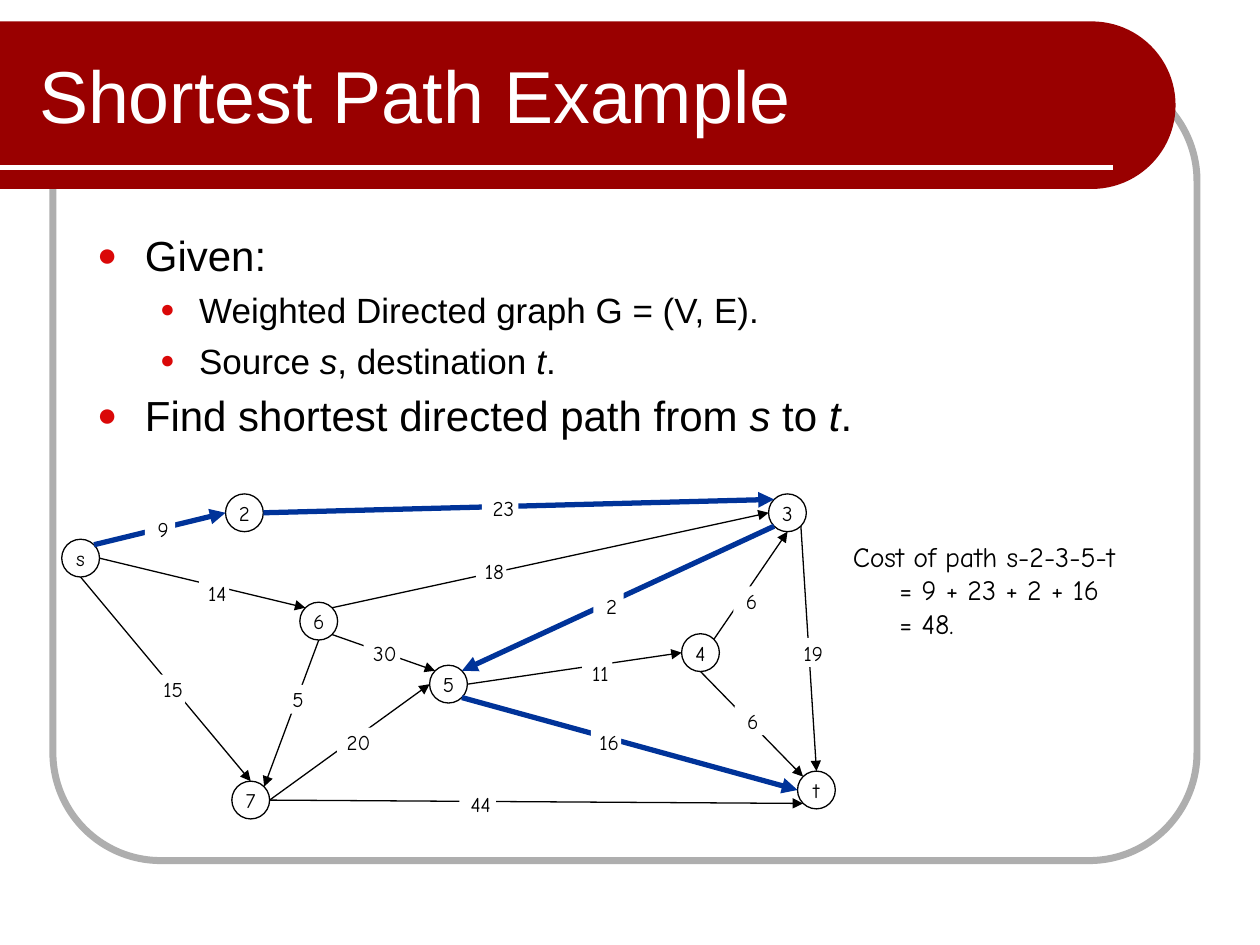
from lxml import etree
from pptx import Presentation
from pptx.dml.color import RGBColor
from pptx.enum.shapes import MSO_CONNECTOR, MSO_SHAPE
from pptx.enum.text import MSO_ANCHOR, MSO_AUTO_SIZE, PP_ALIGN
from pptx.oxml.ns import qn
from pptx.util import Inches, Pt

STRAIGHT = MSO_CONNECTOR.STRAIGHT
OVAL, RECT = MSO_SHAPE.OVAL, MSO_SHAPE.RECTANGLE
ROUNDED, ROUND_END = MSO_SHAPE.ROUNDED_RECTANGLE, MSO_SHAPE.ROUND_2_SAME_RECTANGLE
LEFT, CENTER = PP_ALIGN.LEFT, PP_ALIGN.CENTER
TOP, MIDDLE = MSO_ANCHOR.TOP, MSO_ANCHOR.MIDDLE

COLORS = {"white": "FFFFFF", "black": "000000", "banner": "990000",
          "frame": "AEAEAE", "bullet": "DA0808", "path": "003399"}
BODY_FONT, GRAPH_FONT = "Arial", "Comic Neue"

TITLE = "Shortest Path Example"
BULLETS = [
    (0, "Given:"),
    (1, "Weighted Directed graph G = (V, E)."),
    (1, "Source *s*, destination *t*."),
    (0, "Find shortest directed path from *s* to *t*."),
]
LEVELS = [
    {"size": 24, "indent": 0.38, "hang": 0.38, "bullet_size": 80},
    {"size": 20, "indent": 0.81, "hang": 0.31, "bullet_size": 70},
]
COST = [(0, "Cost of path s-2-3-5-t"), (1, "= 9 + 23 + 2 + 16"), (1, "= 48.")]
COST_LEVELS = [{"size": 16}, {"size": 16, "indent": 0.37}]

NODE_SIZE = 0.3
NODES = {"s": (0.49, 4.28), "3": (6.1, 3.92), "t": (6.33, 6.12), "2": (1.79, 3.92),
         "6": (2.38, 4.78), "7": (1.84, 6.2), "4": (5.41, 5.03), "5": (3.41, 5.28)}
SHORTEST = ["s2", "23", "35", "5t"]
EDGES = [
    ("s", "NE", "2", "W", "9", (1.27, 4.2)),
    ("s", "E", "6", "NW", "14", (1.7, 4.71)),
    ("s", "S", "7", "N", "15", (1.35, 5.47)),
    ("6", "NE", "3", "W", "18", (3.9, 4.53)),
    ("4", "NE", "3", "S", "6", (5.94, 4.77)),
    ("6", "SE", "5", "NW", "30", (3.03, 5.18)),
    ("5", "SE", "t", "W", "16", (4.81, 5.89)),
    ("5", "E", "4", "W", "11", (4.74, 5.34)),
    ("4", "S", "t", "NW", "6", (5.95, 5.72)),
    ("3", "SW", "5", "NE", "2", (4.83, 4.81)),
    ("6", "S", "7", "NE", "5", (2.34, 5.55)),
    ("7", "E", "5", "W", "20", (2.82, 5.89)),
    ("2", "E", "3", "NW", "23", (3.97, 4.03)),
    ("7", "E", "t", "SW", "44", (3.79, 6.38)),
    ("3", "SE", "t", "N", "19", (6.43, 5.18)),
]
WIDE_LABELS = ["23", "30", "20", "44"]
LABEL_HEIGHT = 0.23


def color(name):
    return RGBColor.from_string(COLORS[name])


def add_bullet(paragraph, size):
    props = paragraph._p.get_or_add_pPr()
    tint = etree.SubElement(props, qn("a:buClr"))
    etree.SubElement(tint, qn("a:srgbClr"), val=COLORS["bullet"])
    etree.SubElement(props, qn("a:buSzPct"), val=str(size * 1000))
    etree.SubElement(props, qn("a:buFont"), typeface=BODY_FONT)
    etree.SubElement(props, qn("a:buChar"), char="●")


def write(holder, lines, levels, font=GRAPH_FONT, fill="black", align=LEFT,
          anchor=MIDDLE, wrap=True, insets=(0.1, 0.05, 0.1, 0.05), before=0):
    frame = holder.text_frame
    frame.auto_size = MSO_AUTO_SIZE.NONE
    frame.word_wrap, frame.vertical_anchor = wrap, anchor
    (frame.margin_left, frame.margin_top,
     frame.margin_right, frame.margin_bottom) = map(Inches, insets)
    for row, (level, text) in enumerate(lines):
        style = levels[level]
        paragraph = frame.add_paragraph() if row else frame.paragraphs[0]
        paragraph.alignment = align
        paragraph.space_before = Pt(before if row else 0)
        if "indent" in style:
            props = paragraph._p.get_or_add_pPr()
            props.set("marL", str(Inches(style["indent"])))
            props.set("indent", str(-Inches(style.get("hang", 0))))
        if "bullet_size" in style:
            paragraph.level = level
            add_bullet(paragraph, style["bullet_size"])
        for part, words in enumerate(text.split("*")):
            run = paragraph.add_run()
            run.text = words
            run.font.name, run.font.size = font, Pt(style["size"])
            run.font.italic = part % 2 == 1
            run.font.color.rgb = color(fill)


def add_outline(shapes, kind, left, top, width, height, fill=None, line=None, weight=0.75):
    shape = shapes.add_shape(kind, *map(Inches, (left, top, width, height)))
    shape.shadow.inherit = False
    if fill:
        shape.fill.solid()
        shape.fill.fore_color.rgb = color(fill)
    else:
        shape.fill.background()
    if line:
        shape.line.color.rgb = color(line)
        shape.line.width = Pt(weight)
    else:
        shape.line.fill.background()
    return shape


def add_line(shapes, start, end, tint, weight, arrow=True):
    line = shapes.add_connector(STRAIGHT, *map(Inches, (*start, *end)))
    line.line.color.rgb = color(tint)
    line.line.width = Pt(weight)
    if arrow:
        etree.SubElement(line.line._get_or_add_ln(), qn("a:tailEnd"), type="triangle")
    etree.SubElement(line._element.spPr, qn("a:effectLst"))


def port(node, side):
    dx = ("E" in side) - ("W" in side)
    dy = ("S" in side) - ("N" in side)
    reach = NODE_SIZE / 2 * (0.71 if dx and dy else 1)
    left, top = NODES[node]
    return left + NODE_SIZE / 2 + dx * reach, top + NODE_SIZE / 2 + dy * reach


def place(holder, left, top, width, height):
    holder.left, holder.top = Inches(left), Inches(top)
    holder.width, holder.height = Inches(width), Inches(height)


def add_banner(shapes):
    frame = add_outline(shapes, ROUNDED, 0.42, 0.58, 9.08, 6.25, line="frame", weight=4)
    frame.adjustments[0] = 0.137
    length, depth, top = 9.33, 1.33, 0.17
    banner = add_outline(shapes, ROUND_END, (length - depth) / 2,
                         top + (depth - length) / 2, depth, length, fill="banner")
    banner.rotation = 90
    banner.adjustments[0] = 0.5
    add_line(shapes, (0, 1.33), (8.83, 1.33), "white", 3, arrow=False)


def add_graph(shapes):
    for node, (left, top) in NODES.items():
        circle = add_outline(shapes, OVAL, left, top, NODE_SIZE, NODE_SIZE,
                             fill="white", line="black")
        write(circle, [(0, node)], [{"size": 12}], align=CENTER, wrap=False)
    for source, exit_side, target, entry_side, _, _ in EDGES:
        on_path = source + target in SHORTEST
        add_line(shapes, port(source, exit_side), port(target, entry_side),
                 "path" if on_path else "black", 3 if on_path else 0.75)
    for *_, weight, (x, y) in EDGES:
        width = 0.29 if weight in WIDE_LABELS else 0.24
        label = add_outline(shapes, RECT, x - width / 2, y - LABEL_HEIGHT / 2,
                            width, LABEL_HEIGHT, fill="white")
        write(label, [(0, weight)], [{"size": 12}], align=CENTER, wrap=False,
              insets=(0.05, 0, 0, 0))


def main():
    deck = Presentation()
    deck.slide_width, deck.slide_height = Inches(10), Inches(7.5)
    slide = deck.slides.add_slide(deck.slide_layouts[1])
    shapes = slide.shapes
    title, body = slide.placeholders
    add_banner(shapes)
    for holder in (title, body):
        shapes._spTree.append(holder._element)
    place(title, 0.21, 0.25, 7.79, 1)
    write(title, [(0, TITLE)], [{"size": 42}], font=BODY_FONT, fill="white")
    place(body, 0.67, 1.77, 8.67, 4.83)
    write(body, BULLETS, LEVELS, font=BODY_FONT, anchor=TOP, before=5)
    cost = shapes.add_textbox(*map(Inches, (6.67, 4.17, 2.73, 1.02)))
    write(cost, COST, COST_LEVELS)
    add_graph(shapes)
    deck.save("out.pptx")


if __name__ == "__main__":
    main()
